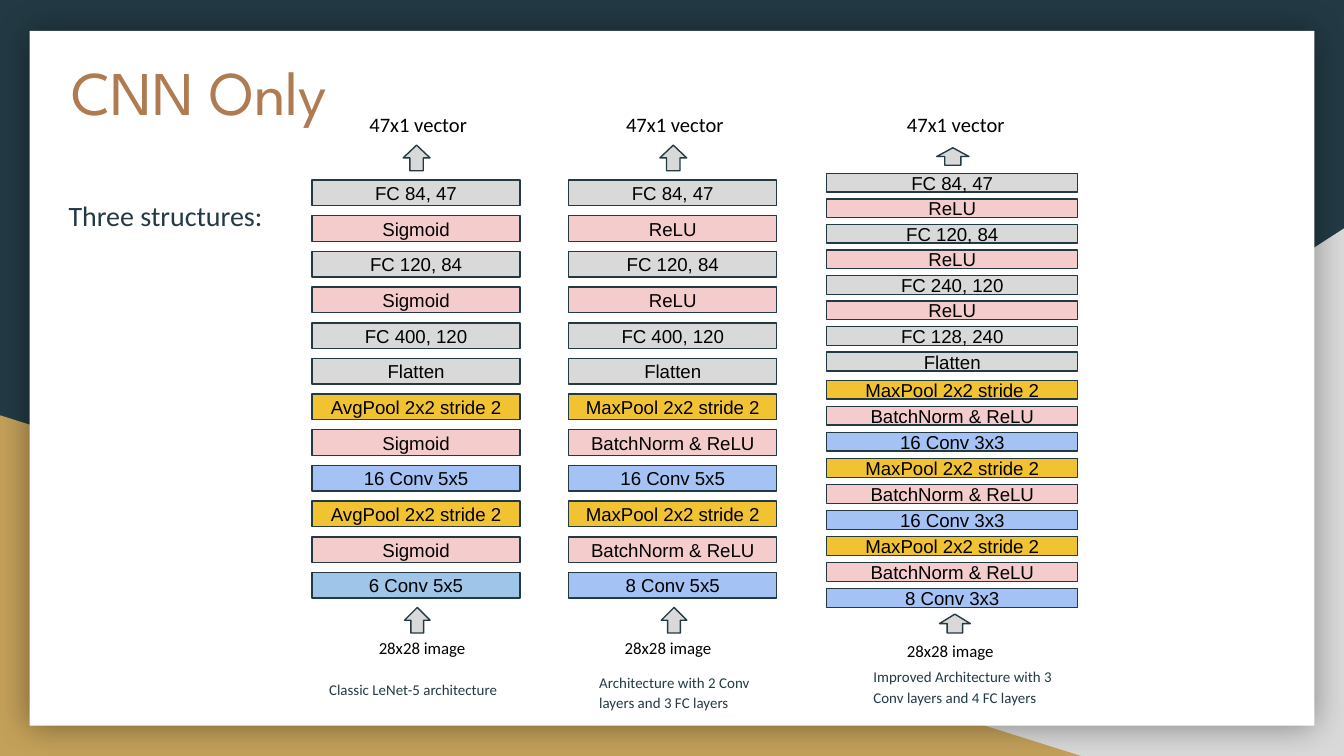
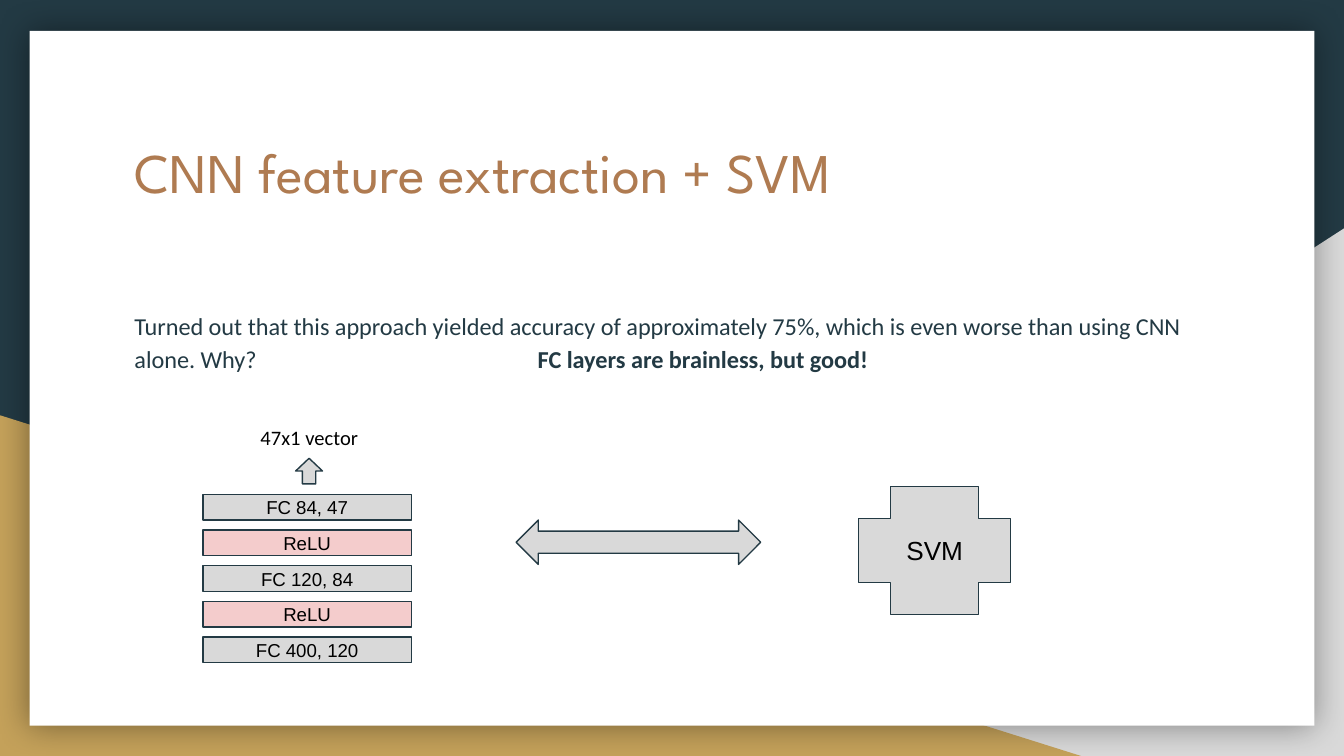
from lxml import etree
from pptx import Presentation
from pptx import util as u
from pptx.dml.color import RGBColor
from pptx.enum import shapes, text
from pptx.oxml import parse_xml
from pptx.oxml.ns import nsdecls, qn

HUES = {
    "navy": "233A44", "brown": "AF7B51", "gold": "C4A15A", "gray": "D9D9D9",
    "white": "FFFFFF", "black": "000000", "pink": "F4CCCC", "pool": "F1C232",
    "conv": "A4C2F4", "sky": "9FC5E8",
}
KIND = shapes.MSO_SHAPE
BAR = 0.19   # height of a layer bar
WIDE = 1.55  # width of a layer bar
TAB = str(u.Inches(1))

LENET = ["FC 84, 47", "Sigmoid", "FC 120, 84", "Sigmoid", "FC 400, 120", "Flatten",
         "AvgPool 2x2 stride 2", "Sigmoid", "16 Conv 5x5",
         "AvgPool 2x2 stride 2", "Sigmoid", "6 Conv 5x5"]
HEAD = ["FC 84, 47", "ReLU", "FC 120, 84", "ReLU", "FC 400, 120"]
BLOCK = ["MaxPool 2x2 stride 2", "BatchNorm & ReLU"]
MID = HEAD + ["Flatten"] + BLOCK + ["16 Conv 5x5"] + BLOCK + ["8 Conv 5x5"]
DEEP_FC = HEAD[:4] + ["FC 240, 120", "ReLU", "FC 128, 240", "Flatten"]
DEEP_CONV = (BLOCK + ["16 Conv 3x3"]) * 2 + BLOCK + ["8 Conv 3x3"]


def hue(name):
    return RGBColor.from_string(HUES[name])


def box(at):
    return [u.Inches(v) for v in at]


def style(par, font, size, color):
    for run in par.runs:
        run.font.name = font
        run.font.size = u.Pt(size)
        run.font.color.rgb = hue(color)


def inset(frame):
    frame.word_wrap = True
    frame.margin_left = frame.margin_right = u.Inches(0.1)
    frame.margin_top = frame.margin_bottom = u.Inches(0.1)


def shape(slide, kind, at, fill, line=True):
    item = slide.shapes.add_shape(kind, *box(at))
    item.shadow.inherit = False
    item.fill.solid()
    item.fill.fore_color.rgb = hue(fill)
    if line:
        item.line.color.rgb = hue("navy")
        item.line.width = u.Pt(0.75)
    else:
        item.line.fill.background()
    return item


def label(item, words, size=10):
    """Centre black words inside a shape."""
    frame = item.text_frame
    inset(frame)
    frame.vertical_anchor = text.MSO_ANCHOR.MIDDLE
    frame.text = words
    par = frame.paragraphs[0]
    par.alignment = text.PP_ALIGN.CENTER
    style(par, "Arial", size, "black")


def note(slide, at, words, size, color="black", space=None):
    frame = slide.shapes.add_textbox(*box(at)).text_frame
    inset(frame)
    frame.auto_size = text.MSO_AUTO_SIZE.SHAPE_TO_FIT_TEXT
    frame.text = words
    par = frame.paragraphs[0]
    if space:
        par.line_spacing = space
    style(par, "Calibri", size, color)


def tint(name):
    """Pick the colour of a layer from its name."""
    if name == "6 Conv 5x5":
        return "sky"
    for part, color in (("FC", "gray"), ("Flatten", "gray"),
                        ("Pool", "pool"), ("Conv", "conv")):
        if part in name:
            return color
    return "pink"


def stack(slide, names, left, first, last, wide=WIDE, tall=BAR):
    """Spread layer bars evenly from the first top to the last top."""
    step = (last - first) / (len(names) - 1)
    for i, name in enumerate(names):
        at = (left, first + i * step, wide, tall)
        label(shape(slide, KIND.RECTANGLE, at, tint(name)), name)


def arrow(slide, at):
    shape(slide, KIND.UP_ARROW, at, "gray")


def hold(slide, spot, at, words):
    """Fill a placeholder with one plain paragraph and return it."""
    item = slide.placeholders[spot]
    item.left, item.top, item.width, item.height = box(at)
    frame = item.text_frame
    inset(frame)
    frame.auto_size = text.MSO_AUTO_SIZE.NONE
    frame.vertical_anchor = text.MSO_ANCHOR.TOP
    frame.text = words
    par = frame.paragraphs[0]
    par.alignment = text.PP_ALIGN.LEFT
    par.space_before = u.Pt(0)
    return par


def title(slide, at, words, size):
    style(hold(slide, 0, at, words), "League Spartan", size, "brown")


def body(slide, at, words, size, bold=""):
    par = hold(slide, 1, at, words)
    props = par._p.get_or_add_pPr()
    for key, value in (("marL", "0"), ("indent", "0"), ("defTabSz", TAB)):
        props.set(key, value)
    etree.SubElement(props, qn("a:buNone"))
    par.line_spacing = 1.15
    if bold:
        run = par.add_run()
        run.text = bold
        run.font.bold = True
    style(par, "Calibri", size, "navy")


def dress(layout, slide):
    """Draw the shared backdrop and move it to the layout."""
    layout.background.fill.solid()
    layout.background.fill.fore_color.rgb = hue("navy")
    right = shape(slide, KIND.RIGHT_TRIANGLE, (3.92, 1.7, 6.08, 3.93), "gray", False)
    right.element.spPr.find(qn("a:xfrm")).set("flipH", "1")
    left = shape(slide, KIND.RIGHT_TRIANGLE, (0, 3.09, 8.06, 2.54), "gold", False)
    card = shape(slide, KIND.RECTANGLE, (0.22, 0.23, 9.56, 5.17), "white", False)
    glow = parse_xml(
        f'<a:outerShdw {nsdecls("a")} blurRad="{u.Pt(18)}" dist="0" dir="0" '
        f'algn="ctr" rotWithShape="0"><a:srgbClr val="{HUES["black"]}">'
        '<a:alpha val="40000"/></a:srgbClr></a:outerShdw>')
    card.element.spPr.find(qn("a:effectLst")).append(glow)
    for i, item in enumerate((right, left, card)):
        item.element.xpath(".//p:cNvPr")[0].set("id", str(20 + i))
        layout.shapes.element.insert(2 + i, item.element)


def nets(slide):
    title(slide, (0.43, 0.3, 3.06, 1.04), "CNN Only", 33.3)
    body(slide, (0.41, 1.34, 2.06, 2.68), "Three structures:", 15)

    for names, left in ((LENET, 2.32), (MID, 4.23)):
        stack(slide, names, left, 1.34, 4.26)
        arrow(slide, (left + 0.68, 1.08, 0.2, BAR))
        arrow(slide, (left + 0.69, 4.52, 0.19, BAR))
    stack(slide, DEEP_FC, 6.15, 1.29, 2.62, 1.87, 0.14)
    stack(slide, DEEP_CONV, 6.15, 2.83, 4.38, 1.87, 0.14)
    arrow(slide, (6.97, 1.1, 0.24, 0.13))
    arrow(slide, (6.99, 4.57, 0.23, 0.14))

    for left, wide in ((2.65, 1.55), (4.56, 1.23), (6.65, 1.87)):
        note(slide, (left, 0.74, wide, 0.39), "47x1 vector", 11)
    for left, top, wide in ((2.72, 4.67, 1.06), (4.55, 4.67, 1.06), (6.65, 4.69, 1.1)):
        note(slide, (left, top, wide, 0.35), "28x28 image", 9)
    for at, words in (
        ((2.35, 4.97, 1.55, 0.34), "Classic LeNet-5 architecture"),
        ((4.36, 4.89, 1.55, 0.49), "Architecture with 2 Conv layers and 3 FC layers"),
        ((6.4, 4.85, 1.61, 0.73),
         "Improved Architecture with 3 Conv layers and 4 FC layers"),
    ):
        note(slide, at, words, 8, "navy", 1.15)


def svm(slide):
    title(slide, (0.9, 0.92, 8.21, 1.04), "CNN feature extraction + SVM", 30)
    body(slide, (0.9, 2.18, 8.21, 2.68),
         "Turned out that this approach yielded accuracy of approximately 75%, "
         "which is even worse than using CNN alone. Why?\t\t\t", 13,
         "FC layers are brainless, but good!")
    stack(slide, HEAD, 1.51, 3.68, 4.74)
    arrow(slide, (2.2, 3.41, 0.2, BAR))
    note(slide, (1.84, 3.07, 1.23, 0.39), "47x1 vector", 11)
    shape(slide, KIND.LEFT_RIGHT_ARROW, (3.84, 3.87, 1.82, 0.33), "gray")
    label(shape(slide, KIND.CROSS, (6.39, 3.62, 1.13, 0.95), "gray"), "SVM", 14)


def main():
    deck = Presentation()
    deck.slide_width = u.Inches(10)
    deck.slide_height = deck.slide_width * 9 // 16
    for level in deck.slide_master.element.xpath(".//p:bodyStyle/a:lvl1pPr"):
        level.set("defTabSz", TAB)
    layout = deck.slide_layouts[1]
    first, second = (deck.slides.add_slide(layout) for _ in range(2))
    dress(layout, first)
    nets(first)
    svm(second)
    deck.save("out.pptx")


if __name__ == "__main__":
    main()
